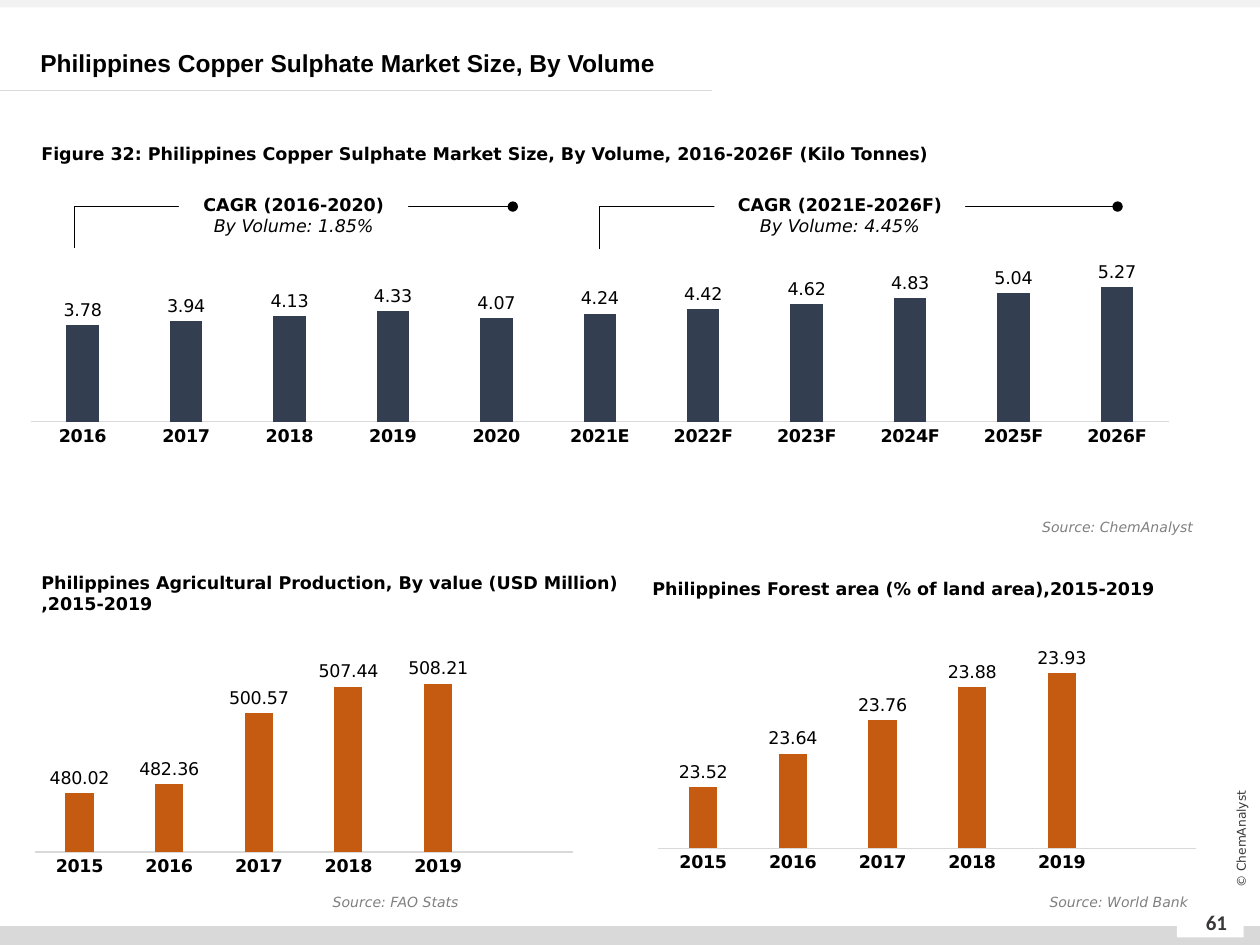
from lxml import etree
from pptx import Presentation
from pptx import util as u
from pptx.chart import data as chart_data
from pptx.dml.color import RGBColor
from pptx.enum import chart as chart_enum, shapes, text
from pptx.oxml import parse_xml
from pptx.oxml.ns import nsdecls, qn

COLORS = {
    "black": "000000",
    "white": "FFFFFF",
    "band": "D9D9D9",
    "top": "F2F2F2",
    "footer": "3B3838",
    "source": "808080",
    "navy": "333F50",
    "orange": "C55A11",
}
ALIGN = {
    "left": text.PP_ALIGN.LEFT,
    "center": text.PP_ALIGN.CENTER,
    "right": text.PP_ALIGN.RIGHT,
}


def rgb(name):
    return RGBColor.from_string(COLORS[name])


def set_font(font, size=10, name="DejaVu Sans", color="black", bold=False, italic=False):
    font.size = u.Pt(size)
    font.name = name
    font.bold = bold
    font.italic = italic
    font.color.rgb = rgb(color)


def write(frame, content, align="left", middle=False, spacing=None, new=False, **font):
    frame.word_wrap = True
    frame.auto_size = text.MSO_AUTO_SIZE.NONE
    frame.vertical_anchor = text.MSO_ANCHOR.MIDDLE if middle else text.MSO_ANCHOR.TOP
    paragraph = frame.add_paragraph() if new else frame.paragraphs[0]
    paragraph.alignment = ALIGN[align]
    if spacing:
        paragraph.line_spacing = spacing
    run = paragraph.add_run()
    run.text = content
    set_font(run.font, **font)


class SlideBuilder:
    def __init__(self, presentation):
        self.slide = presentation.slides.add_slide(presentation.slide_layouts[5])

    def place(self, box):
        return [u.Inches(value) for value in box]

    def title(self, content, box):
        shape = self.slide.shapes.title
        shape.left, shape.top, shape.width, shape.height = self.place(box)
        write(shape.text_frame, content, middle=True, spacing=u.Pt(17),
              size=14, name="Arial", bold=True)

    def rectangle(self, box, fill):
        shape = self.slide.shapes.add_shape(shapes.MSO_SHAPE.RECTANGLE, *self.place(box))
        shape.shadow.inherit = False
        shape.fill.solid()
        shape.fill.fore_color.rgb = rgb(fill)
        shape.line.fill.background()
        return shape

    def label(self, content, box, rotation=0, **style):
        shape = self.slide.shapes.add_textbox(*self.place(box))
        shape.rotation = rotation
        write(shape.text_frame, content, **style)

    def source(self, content, box):
        self.label(content, box, align="right", size=8, color="source", italic=True)

    def connector(self, kind, ends, color):
        connector = self.slide.shapes.add_connector(kind, *self.place(ends))
        connector.line.color.rgb = rgb(color)
        connector.line.width = u.Pt(0.5)
        etree.SubElement(connector._element.spPr, qn("a:effectLst"))
        return connector

    def callout(self, heading, detail, ends, box):
        connector = self.connector(shapes.MSO_CONNECTOR.ELBOW, ends, "black")
        geometry = connector._element.spPr.find(qn("a:prstGeom"))
        guides = geometry.find(qn("a:avLst"))
        if guides is None:
            guides = etree.SubElement(geometry, qn("a:avLst"))
        etree.SubElement(guides, qn("a:gd"), name="adj1", fmla="val 0")
        outline = connector.line._get_or_add_ln()
        etree.SubElement(outline, qn("a:tailEnd"), type="oval")
        frame = self.rectangle(box, "white").text_frame
        write(frame, heading, align="center", middle=True, bold=True)
        write(frame, detail, align="center", middle=True, italic=True, new=True)

    def column_chart(self, box, categories, values, color, scale, plot_height):
        data = chart_data.CategoryChartData(number_format="0.00")
        data.categories = categories
        data.add_series("Series 1", values)
        chart = self.slide.shapes.add_chart(
            chart_enum.XL_CHART_TYPE.COLUMN_CLUSTERED, *self.place(box), data).chart
        set_font(chart.font)
        chart.has_title = False
        chart.has_legend = False

        value_axis = chart.value_axis
        value_axis.minimum_scale, value_axis.maximum_scale = scale
        value_axis.has_major_gridlines = False
        value_axis.visible = False

        category_axis = chart.category_axis
        category_axis.major_tick_mark = chart_enum.XL_TICK_MARK.NONE
        category_axis.format.line.color.rgb = rgb("band")
        category_axis.format.line.width = u.Pt(0.75)
        set_font(category_axis.tick_labels.font, bold=True)

        plot = chart.plots[0]
        plot.gap_width = 219
        plot.overlap = -27
        plot.vary_by_categories = False
        fill = plot.series[0].format.fill
        fill.solid()
        fill.fore_color.rgb = rgb(color)
        plot.has_data_labels = True
        labels = plot.data_labels
        labels.show_value = True
        labels.position = chart_enum.XL_LABEL_POSITION.OUTSIDE_END
        labels.number_format = "0.00"
        labels.number_format_is_linked = False
        set_font(labels.font)

        area = chart._chartSpace.chart.plotArea
        for layout in area.findall(qn("c:layout")):
            area.remove(layout)
        area.insert(0, parse_xml(
            f'<c:layout {nsdecls("c")}><c:manualLayout><c:layoutTarget val="inner"/>'
            '<c:xMode val="edge"/><c:yMode val="edge"/><c:x val="0"/><c:y val="0.16"/>'
            f'<c:w val="1"/><c:h val="{plot_height}"/></c:manualLayout></c:layout>'))


def main():
    presentation = Presentation()
    presentation.slide_width = u.Inches(10)
    presentation.slide_height = u.Inches(7.5)
    builder = SlideBuilder(presentation)

    builder.rectangle((0, 7.35, 10, 0.15), "band")
    builder.rectangle((0, 0, 10, 0.06), "top")
    builder.rectangle((9.34, 7.22, 0.53, 0.22), "white")
    builder.connector(shapes.MSO_CONNECTOR.STRAIGHT, (0, 0.72, 5.65, 0.72), "band")
    builder.label("61", (9.41, 7.12, 0.49, 0.4), align="center", middle=True,
                  size=12, name="Calibri", color="footer", bold=True)
    builder.label("© ChemAnalyst", (9.25, 6.58, 1.2, 0.16), rotation=270,
                  align="center", middle=True, size=7, color="footer")
    builder.title("Philippines Copper Sulphate Market Size, By Volume", (0.22, 0.34, 9.76, 0.32))

    market_years = [str(year) for year in range(2016, 2021)] + ["2021E"]
    market_years += [f"{year}F" for year in range(2022, 2027)]
    volumes = [3.78, 3.94, 4.13, 4.33, 4.07, 4.24, 4.42, 4.62, 4.83, 5.04, 5.27]
    builder.column_chart((0.24, 1.8, 9.04, 2.08), market_years, volumes, "navy", (0, 6), 0.584)
    builder.callout("CAGR (2021E-2026F)", "By Volume: 4.45%",
                    (4.76, 1.98, 8.87, 1.64), (5.67, 1.42, 1.99, 0.57))
    builder.callout("CAGR (2016-2020)", "By Volume: 1.85%",
                    (0.59, 1.97, 4.07, 1.64), (1.42, 1.42, 1.82, 0.57))
    builder.label("Figure 32: Philippines Copper Sulphate Market Size, By Volume, "
                  "2016-2026F (Kilo Tonnes)", (0.23, 1, 8.82, 0.32), spacing=1.5, bold=True)
    builder.source("Source: ChemAnalyst", (7.16, 4.07, 2.41, 0.24))

    driver_years = [str(year) for year in range(2015, 2020)] + [""]
    production = [480.02, 482.36, 500.57, 507.44, 508.21, None]
    forest = [23.52, 23.64, 23.76, 23.88, 23.93, None]
    builder.column_chart((0.27, 4.87, 4.28, 2.17), driver_years, production,
                         "orange", (465, 515), 0.712)
    builder.label("Philippines Agricultural Production, By value (USD Million) ,2015-2019",
                  (0.23, 4.49, 5.01, 0.44), bold=True)
    builder.column_chart((5.22, 4.84, 4.28, 2.17), driver_years, forest,
                         "orange", (23.3, 24), 0.712)
    builder.label("Philippines Forest area (% of land area),2015-2019",
                  (5.08, 4.54, 5.01, 0.27), bold=True)
    builder.source("Source: World Bank", (6.97, 7.04, 2.56, 0.24))
    builder.source("Source: FAO Stats", (2.49, 7.04, 1.25, 0.24))

    presentation.save("out.pptx")


if __name__ == "__main__":
    main()
